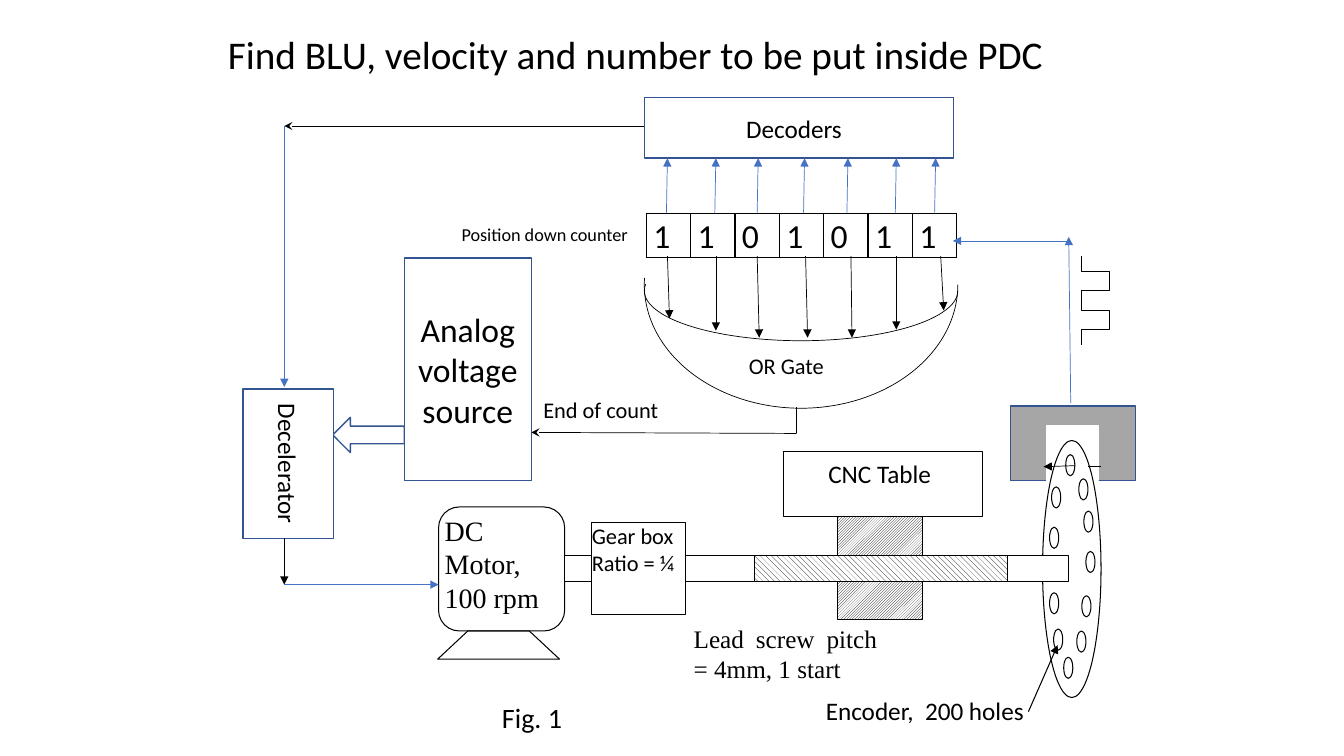
from lxml.etree import SubElement
from pptx import Presentation
from pptx.dml.color import RGBColor
from pptx.enum.dml import MSO_PATTERN_TYPE as Pat
from pptx.enum.shapes import MSO_CONNECTOR as Link, MSO_SHAPE as Form
from pptx.enum.text import MSO_ANCHOR as Anchor, PP_ALIGN as Align
from pptx.oxml.ns import qn
from pptx.util import Pt

PX = 9144
BLACK, WHITE = RGBColor(0, 0, 0), RGBColor(255, 255, 255)
GRAY, NAVY = RGBColor(0xA6, 0xA6, 0xA6), RGBColor(0x32, 0x54, 0x91)
BLUE = RGBColor(0x44, 0x72, 0xC4)
SANS, SERIF = "Calibri", "Times New Roman"
TOP, MID = Anchor.TOP, Anchor.MIDDLE
LEFT, MIDST, EVEN = Align.LEFT, Align.CENTER, Align.JUSTIFY
RECT, OVAL = Form.RECTANGLE, Form.OVAL
STEP = Form.FLOWCHART_PROCESS

TITLE = "Find BLU, velocity and number to be put inside PDC"
BITS = "1101011"
COUNTER = (641, 212, 44, 42)

SENSOR = [
    (RECT, (1002, 403, 124, 74), GRAY, NAVY, 1),
    (RECT, (1038, 422, 51, 55), WHITE, WHITE, 1),
    (OVAL, (1034, 437, 58, 255), WHITE, BLACK, 0.75),
]
HOLES = [(1057, 451), (1043, 483), (1075, 507), (1041, 523), (1068, 626), (1055, 652),
         (1077, 547), (1073, 591), (1070, 475), (1041, 588), (1045, 624)]
HOLE = (9, 21)
PARTS = [
    (Form.FLOWCHART_ALTERNATE_PROCESS, (435, 503, 125, 123), WHITE, BLACK, 0.75),
    (RECT, (560, 551, 402, 26), WHITE, BLACK, 0.75),
    (STEP, (587, 518, 93, 92), WHITE, BLACK, 0.75),
    (RECT, (831, 512, 84, 103), Pat.LIGHT_UPWARD_DIAGONAL, BLACK, 0.75),
    (RECT, (748, 551, 251, 26), Pat.WIDE_DOWNWARD_DIAGONAL, BLACK, 0.75),
    (STEP, (777, 448, 197, 64), WHITE, BLACK, 0.75),
    (RECT, (999, 551, 61, 26), WHITE, BLACK, 0.75),
    (RECT, (401, 256, 126, 221), WHITE, NAVY, 1),
    (RECT, (639, 97, 307, 60), WHITE, NAVY, 1),
    (Form.LEFT_ARROW, (330, 414, 71, 35), WHITE, NAVY, 1),
    (RECT, (241, 386, 90, 148), WHITE, NAVY, 1),
]
GATE = [(672, 127, 245, 311), (745, 133, 99, 311)]
STAND = [(434, 654), (464, 626), (525, 626), (555, 654)]
PULSE = {"left": 1073, "right": 1100, "levels": [254, 269, 288, 308, 327, 342]}

LABELS = [
    ("Encoder,  200 holes", (819, 688, 219, 55), 18, SANS, LEFT, TOP, 0, 1.07),
    ("DC Motor, 100 rpm", (441, 509, 113, 111), 20, SERIF, LEFT, TOP, 0, 1),
    ("Gear box Ratio = ¼", (587, 518, 93, 92), 16, SANS, LEFT, TOP, 0, 1),
    ("CNC Table", (774, 448, 197, 64), 18, SANS, MIDST, TOP, 1, 1.07),
    ("Lead screw pitch = 4mm, 1 start", (688, 618, 182, 75), 18, SERIF, EVEN, TOP, 0, 1),
    ("Fig. 1", (488, 688, 111, 60), 20, SANS, LEFT, TOP, 1, 1.07),
    ("Position down counter", (448, 215, 210, 42), 13, SANS, LEFT, TOP, 1, 1.07),
    ("End of count", (529, 386, 172, 40), 16, SANS, LEFT, TOP, 1, 1.07),
    ("OR Gate", (733, 343, 133, 41), 16, SANS, LEFT, TOP, 1, 1.07),
    ("Analog voltage source", (401, 256, 126, 221), 24, SANS, MIDST, MID, 1, 1),
    ("Decoders", (634, 97, 307, 60), 18, SANS, MIDST, MID, 1, 1),
    ("Decelerator", (241, 386, 90, 148), 18, SANS, MIDST, MID, 1, 1),
]
SIDEWAYS = "Decelerator"

DROPS = [(662, 664, 316), (710, 710, 328), (751, 753, 335), (799, 801, 335),
         (844, 845, 335), (889, 889, 327), (933, 936, 308)]
RISES = [661, 709, 751, 797, 840, 888, 927]
WIRES = [
    ((1020, 706), (1049, 640), BLACK, 0.75, "triangle"),
    ((1066, 462), (1035, 463), BLACK, 0.5, "triangle"),
    ((1092, 463), (1079, 463), BLACK, 0.5, None),
    ((790, 404), (790, 430), BLACK, 0.5, None),
    ((790, 430), (527, 429), BLACK, 0.5, "stealth"),
    ((639, 125), (282, 125), BLACK, 0.5, "stealth"),
    ((282, 534), (282, 580), BLACK, 0.5, "triangle"),
    ((282, 125), (282, 384), BLUE, 0.5, "triangle"),
    ((282, 580), (435, 580), BLUE, 0.5, "triangle"),
    ((1062, 400), (1060, 235), BLUE, 0.5, "triangle"),
    ((1060, 239), (945, 239), BLUE, 0.5, "triangle"),
]
WIRES += [((a, 254), (b, end), BLACK, 0.5, "triangle") for a, b, end in DROPS]
WIRES += [((x, 211), (x + 1, 157), BLUE, 0.5, "triangle") for x in RISES]


def emu(vals):
    return [v * PX for v in vals]


def style(shape, fill, edge, width):
    shape.shadow.inherit = False
    if fill is None:
        shape.fill.background()
    elif isinstance(fill, RGBColor):
        shape.fill.solid()
        shape.fill.fore_color.rgb = fill
    else:
        shape.fill.patterned()
        shape.fill.pattern = fill
        shape.fill.fore_color.rgb = BLACK
        shape.fill.back_color.rgb = WHITE
    shape.line.color.rgb = edge
    shape.line.width = Pt(width)


def draw(shapes, form, box, fill, edge, width):
    shape = shapes.add_shape(form, *emu(box))
    style(shape, fill, edge, width)
    return shape


def write(frame, text, size, font=SANS, align=LEFT, lead=1.0):
    frame.text = text
    para = frame.paragraphs[0]
    para.alignment, para.line_spacing = align, lead
    face = para.runs[0].font
    face.size, face.name, face.color.rgb = Pt(size), font, BLACK


def label(shapes, text, box, size, font, align, anchor, pad, lead):
    frame = shapes.add_textbox(*emu(box)).text_frame
    frame.word_wrap, frame.vertical_anchor = True, anchor
    frame.margin_left = frame.margin_right = pad * 10 * PX
    frame.margin_top = frame.margin_bottom = pad * 5 * PX
    write(frame, text, size, font, align, lead)
    if text == SIDEWAYS:
        frame._txBody.bodyPr.set("vert", "vert")


def wire(shapes, start, end, color, width, tip):
    link = shapes.add_connector(Link.STRAIGHT, *emu(start + end))
    link.line.color.rgb, link.line.width = color, Pt(width)
    if tip:
        SubElement(link.line._get_or_add_ln(), qn("a:tailEnd"), type=tip)
    SubElement(link._element.spPr, qn("a:effectLst"))


def outline(shapes, dots, close, fill, width):
    pen = shapes.build_freeform(*dots[0], scale=PX)
    pen.add_line_segments(dots[1:], close=close)
    style(pen.convert_to_shape(), fill, BLACK, width)


def count(shapes):
    left, top, side, high = COUNTER
    box = emu((left, top, side * len(BITS), high))
    grid = shapes.add_table(1, len(BITS), *box).table
    grid.first_row = grid.horz_banding = False
    for col, bit in enumerate(BITS):
        grid.columns[col].width = side * PX
        cell = grid.cell(0, col)
        cell.margin_left = cell.margin_right = 7 * PX
        cell.margin_top = cell.margin_bottom = 0
        write(cell.text_frame, bit, 24, lead=1.07)
        props = cell._tc.get_or_add_tcPr()
        for edge in ("lnL", "lnR", "lnT", "lnB"):
            line = SubElement(props, qn("a:" + edge), w=str(Pt(1)))
            SubElement(SubElement(line, qn("a:solidFill")), qn("a:srgbClr"), val=str(BLACK))
        cell.fill.background()


def main():
    """Draw the position control loop of a machine table and save it."""
    deck = Presentation()
    deck.slide_width, deck.slide_height = emu((1333, 750))
    shapes = deck.slides.add_slide(deck.slide_layouts[5]).shapes
    head = shapes.title
    head.left, head.top, head.width, head.height = emu((216, 16, 900, 80))
    head.text_frame.vertical_anchor = MID
    write(head.text_frame, TITLE, 28, lead=0.9)
    for part in SENSOR + [(OVAL, spot + HOLE, WHITE, BLACK, 0.75) for spot in HOLES] + PARTS:
        draw(shapes, *part)
    outline(shapes, STAND, True, WHITE, 0.75)
    for box in GATE:
        arc = draw(shapes, Form.ARC, box, None, BLACK, 0.5)
        arc.rotation = 90
        arc.adjustments[0], arc.adjustments[1] = 162, 55.49
    ys = PULSE["levels"]
    sides = [PULSE["left"], PULSE["right"]]
    dots = [(sides[i % 2], y) for i in range(len(ys) - 1) for y in ys[i:i + 2]]
    outline(shapes, dots, False, None, 0.5)
    count(shapes)
    for item in LABELS:
        label(shapes, *item)
    for item in WIRES:
        wire(shapes, *item)
    deck.save("out.pptx")


if __name__ == "__main__":
    main()
